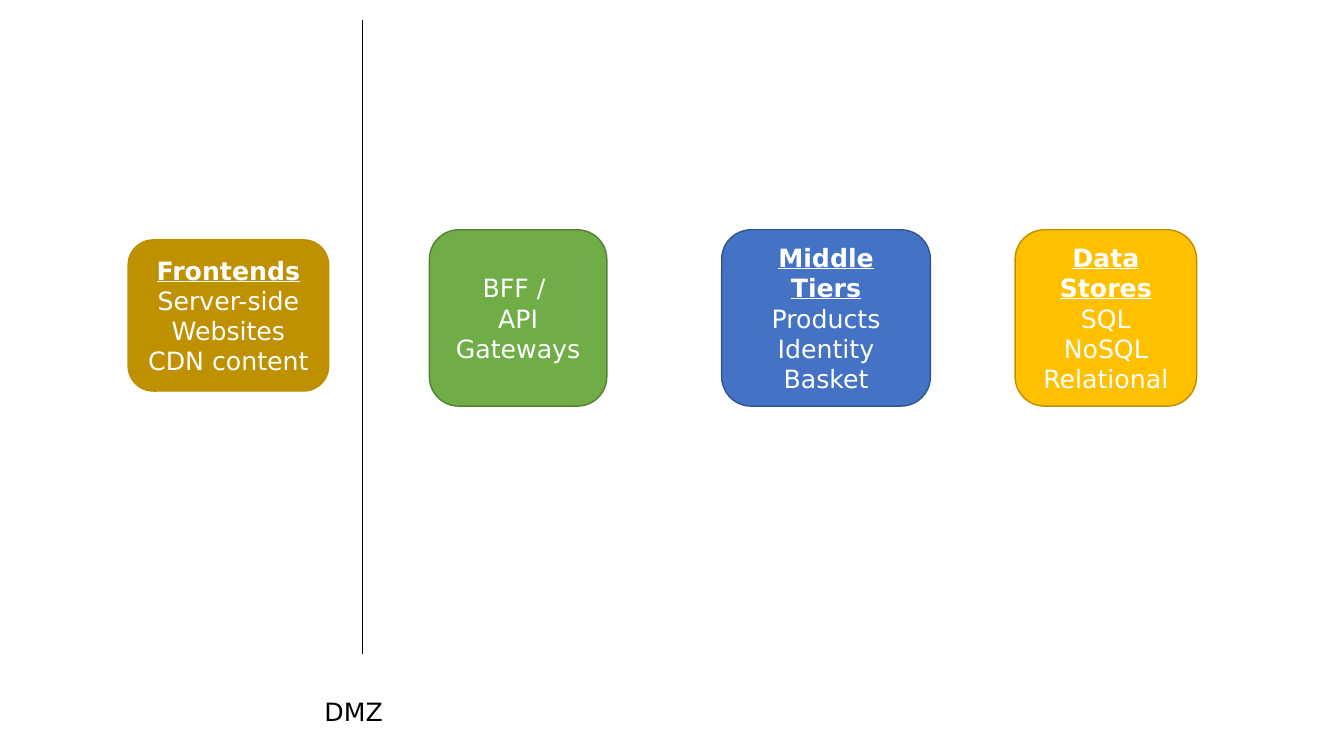
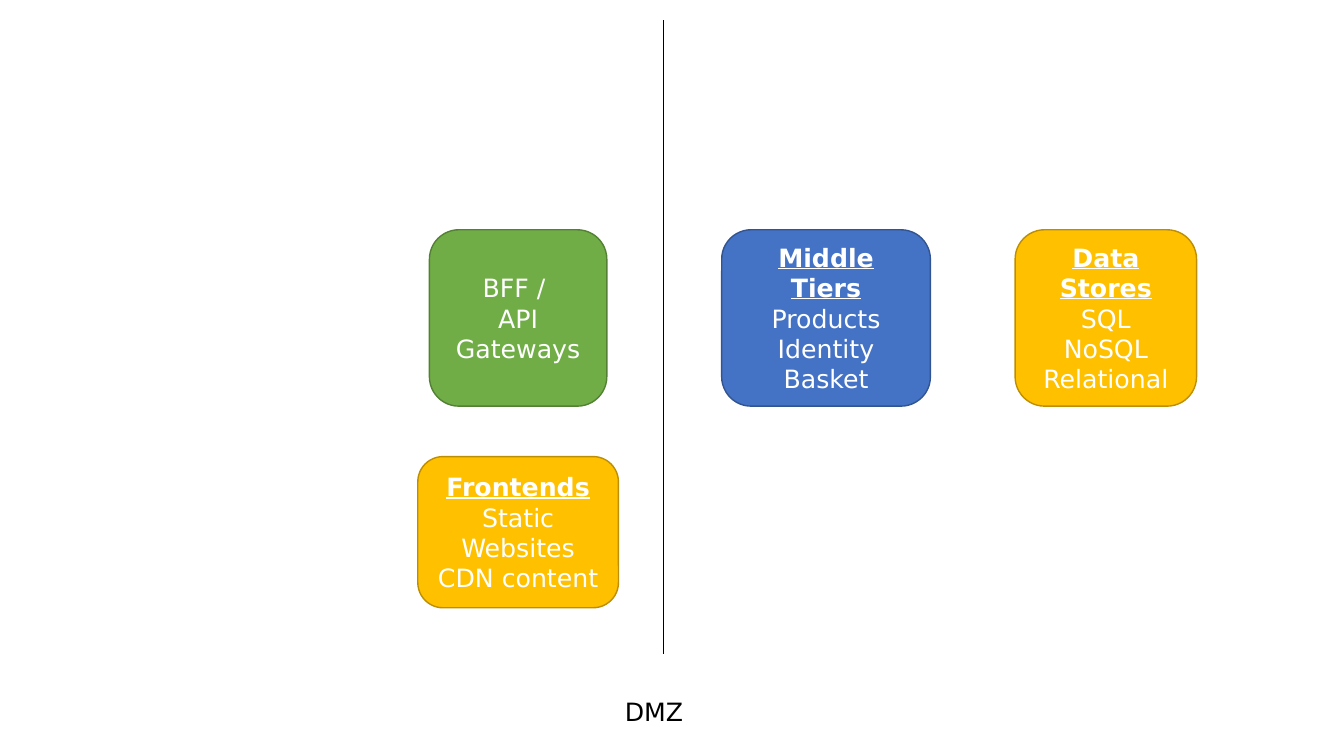
import pptx
import pptx.util
import pptx.dml.color
import pptx.enum.shapes
import pptx.enum.text
import pptx.oxml

COLOURS = {
    "gold": "FFC000", "gold edge": "BD8E00", "dark gold": "BF9000",
    "blue": "4472C4", "blue edge": "325491",
    "green": "70AD47", "green edge": "538035",
    "white": "FFFFFF", "black": "000000",
}
TIER_TOP, TIER_HEIGHT = 30.4, 23.33
GATEWAY_LEFT, GATEWAY_WIDTH = 31.95, 13.2
FRONTEND_WIDTH, FRONTEND_HEIGHT = 14.93, 20


class Diagram:
    """Draw tier diagrams on a grid of 100 columns by 100 rows."""

    font, size = "DejaVu Sans", 18

    def __init__(self):
        self.deck = pptx.Presentation()
        self.deck.slide_width = pptx.util.Inches(13.33)
        self.deck.slide_height = pptx.util.Inches(7.5)
        self.slide = None

    def new_slide(self):
        self.slide = self.deck.slides.add_slide(self.deck.slide_layouts[6])

    def place(self, column, row):
        return (round(self.deck.slide_width * column / 100),
                round(self.deck.slide_height * row / 100))

    def colour(self, name):
        return pptx.dml.color.RGBColor.from_string(COLOURS[name])

    def set_text(self, paragraph, text, colour, heading=False):
        paragraph.text = text
        paragraph.font.name = self.font
        paragraph.font.size = pptx.util.Pt(self.size)
        paragraph.font.color.rgb = self.colour(colour)
        if heading:
            paragraph.font.bold = paragraph.font.underline = True

    def tier(self, left, top, width, height, fill, edge, lines, heading=None):
        box = self.slide.shapes.add_shape(
            pptx.enum.shapes.MSO_SHAPE.ROUNDED_RECTANGLE,
            *self.place(left, top), *self.place(width, height))
        box.shadow.inherit = False
        box.fill.solid()
        box.fill.fore_color.rgb = self.colour(fill)
        box.line.color.rgb = self.colour(edge)
        box.line.width = pptx.util.Pt(1)
        frame = box.text_frame
        frame.word_wrap = True
        frame.vertical_anchor = pptx.enum.text.MSO_ANCHOR.MIDDLE
        texts = [heading, *lines] if heading else lines
        for index, text in enumerate(texts):
            paragraph = frame.add_paragraph() if index else frame.paragraphs[0]
            paragraph.alignment = pptx.enum.text.PP_ALIGN.CENTER
            self.set_text(paragraph, text, "white", text == heading)

    def boundary(self, column, label):
        divider = self.slide.shapes.add_connector(
            pptx.enum.shapes.MSO_CONNECTOR.STRAIGHT,
            *self.place(column, 2.67), *self.place(column, 86.53))
        divider.line.color.rgb = self.colour("black")
        divider.line.width = pptx.util.Pt(0.5)
        properties = divider._element.spPr
        properties.append(pptx.oxml.parse_xml(
            '<a:effectLst xmlns:a="http://schemas.openxmlformats.org/drawingml/2006/main"/>'))
        caption = self.slide.shapes.add_textbox(
            *self.place(column - 3.6, 91.47), *self.place(7.5, 5.33))
        caption.text_frame.word_wrap = True
        self.set_text(caption.text_frame.paragraphs[0], label, "black")

    def backend(self):
        self.tier(75.53, TIER_TOP, 13.5, TIER_HEIGHT, "gold", "gold edge",
                  ["SQL", "NoSQL", "Relational"], "Data Stores")
        self.tier(53.7, TIER_TOP, 15.53, TIER_HEIGHT, "blue", "blue edge",
                  ["Products", "Identity", "Basket"], "Middle Tiers")
        self.tier(GATEWAY_LEFT, TIER_TOP, GATEWAY_WIDTH, TIER_HEIGHT,
                  "green", "green edge", ["BFF / ", "API Gateways"])

    def frontends(self, left, top, fill, websites):
        self.tier(left, top, FRONTEND_WIDTH, FRONTEND_HEIGHT, fill, "gold edge",
                  [websites, "CDN content"], "Frontends")


def main():
    diagram = Diagram()
    below_gateway = GATEWAY_LEFT + (GATEWAY_WIDTH - FRONTEND_WIDTH) / 2
    variants = [
        (9.53, 31.73, "dark gold", "Server-side Websites", 27),
        (below_gateway, 60.4, "gold", "Static Websites", 49.35),
    ]
    for left, top, fill, websites, boundary in variants:
        diagram.new_slide()
        diagram.backend()
        diagram.frontends(left, top, fill, websites)
        diagram.boundary(boundary, "DMZ")
    diagram.deck.save("out.pptx")


if __name__ == "__main__":
    main()
